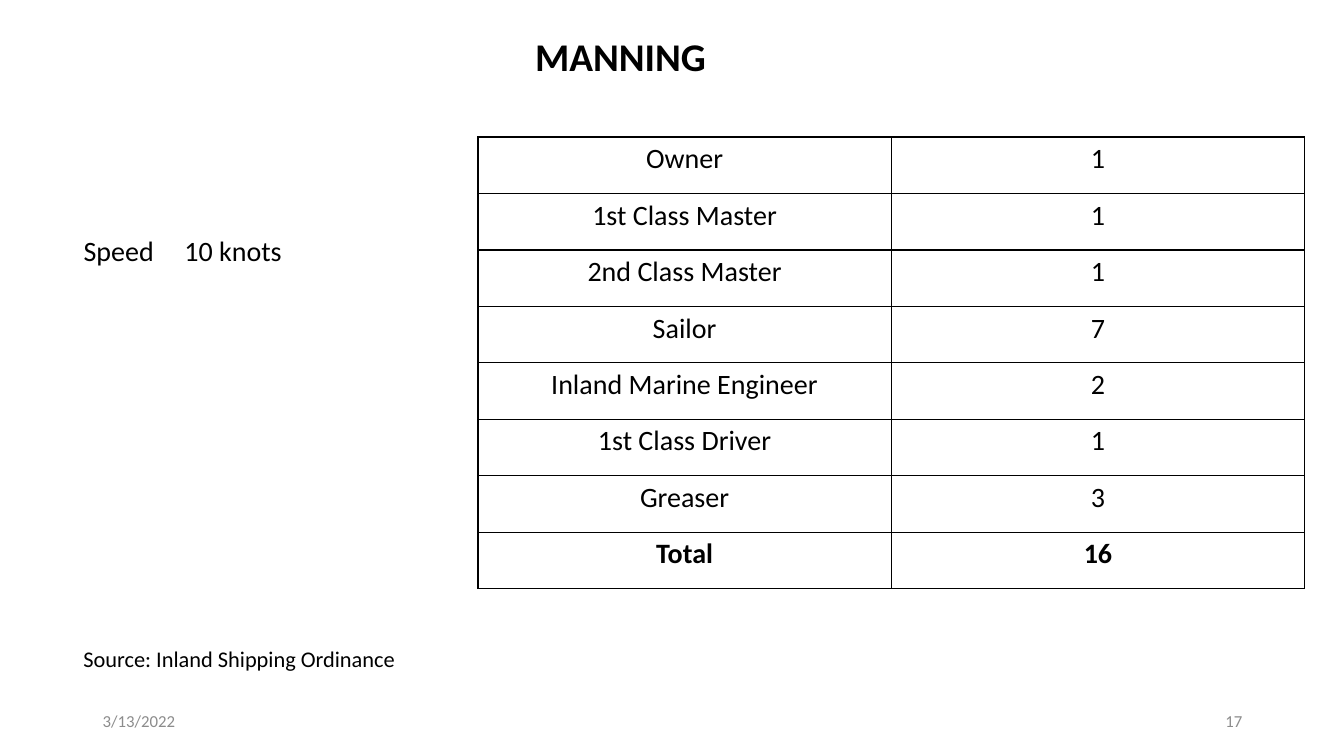
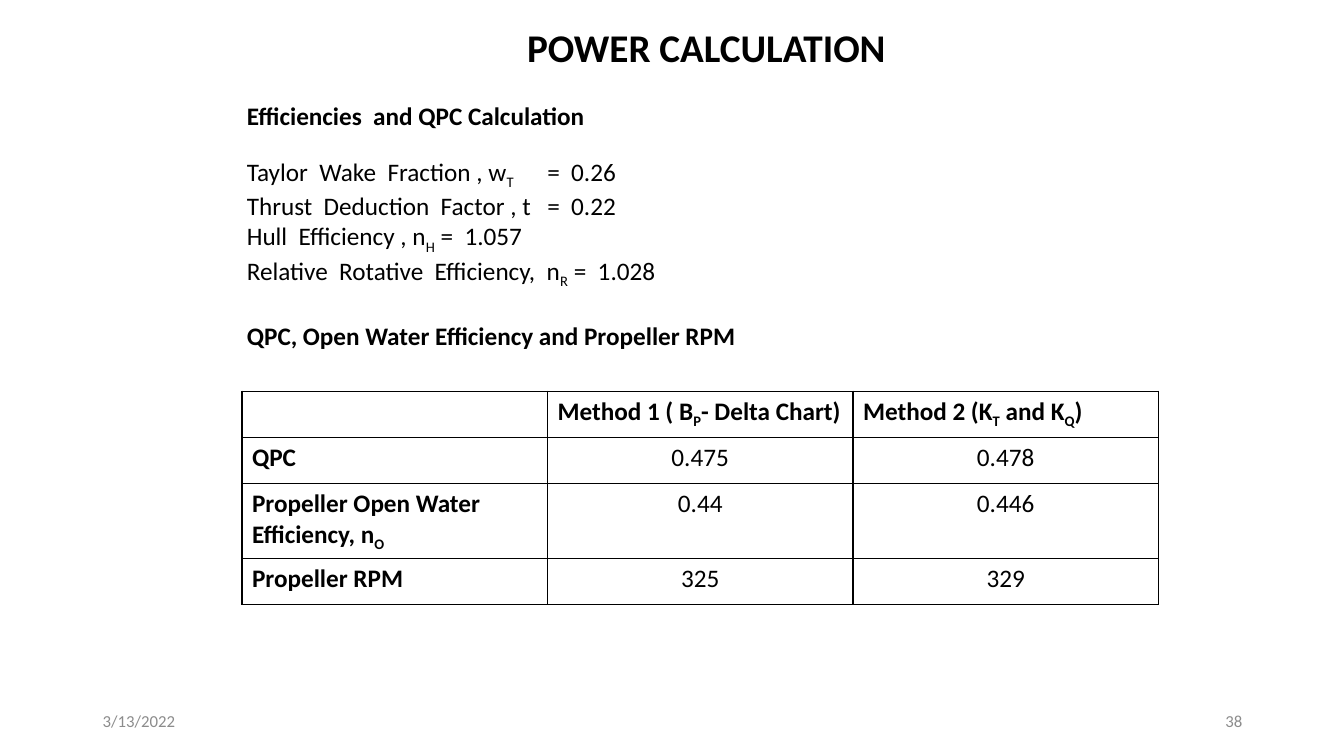
import pptx
import pptx.util
import pptx.dml.color
import pptx.enum.text
import pptx.oxml
import pptx.oxml.ns

PX = 9144  # 100 px to the inch
ALIGN = pptx.enum.text.PP_ALIGN
ANCHOR = pptx.enum.text.MSO_ANCHOR
NS = pptx.oxml.ns.nsdecls("a")


class Theme:
    font = "Calibri"
    ink = "000000"
    grey = "8C8C8C"
    title = 28
    large = 20
    body = 18
    source = 16
    foot = 12
    rule = 12700  # table border, one point


def write(para, text, size, bold=False, color=Theme.ink, align=ALIGN.LEFT):
    """Fill a paragraph; every second part between bars is a subscript."""
    para.alignment = align
    for i, part in enumerate(text.split("|")):
        if not part:
            continue
        run = para.add_run()
        run.text = part
        font = run.font
        font.name = Theme.font
        font.size = pptx.util.Pt(size)
        font.bold = bold
        font.color.rgb = pptx.dml.color.RGBColor.from_string(color)
        if i % 2:
            run._r.get_or_add_rPr().set("baseline", "-25000")


def box(slide, area, text, size, anchor=ANCHOR.TOP, **style):
    """Add a wrapping text box and return its frame."""
    frame = slide.shapes.add_textbox(*[n * PX for n in area]).text_frame
    frame.word_wrap = True
    frame.vertical_anchor = anchor
    write(frame.paragraphs[0], text, size, **style)
    return frame


# Content: title, page number and table of each slide
pages = [
    dict(title="MANNING", at=(521, 27, 773, 57), page="17",
         left=474, top=136, cols=[410] * 2, rows=[56] * 8,
         size=Theme.large, center=0, bold=lambda r, c: r == 7,
         cells=[("Owner", "1"), ("1st Class Master", "1"),
                ("2nd Class Master", "1"), ("Sailor", "7"),
                ("Inland Marine Engineer", "2"), ("1st Class Driver", "1"),
                ("Greaser", "3"), ("Total", "16")]),
    dict(title="POWER CALCULATION", at=(513, 18, 418, 57), page="38",
         left=240, top=388, cols=[303] * 3, rows=[46, 46, 74, 46],
         size=Theme.body, center=1, bold=lambda r, c: r == 0 or c == 0,
         cells=[("", "Method 1 ( B|P|- Delta Chart)",
                 "Method 2 (K|T| and K|Q|)"),
                ("QPC", "0.475", "0.478"),
                ("Propeller Open Water Efficiency, n|O|", "0.44", "0.446"),
                ("Propeller RPM", "325", "329")]),
]

deck = pptx.Presentation()
deck.slide_width = 1333 * PX
deck.slide_height = 750 * PX
blank = deck.slide_layouts[6]

# Shared parts: footer, title and table
for page in pages:
    slide = deck.slides.add_slide(blank)
    for left, text, side in [(92, "3/13/2022", ALIGN.LEFT),
                             (942, page["page"], ALIGN.RIGHT)]:
        box(slide, (left, 695, 300, 40), text, Theme.foot, ANCHOR.MIDDLE,
            color=Theme.grey, align=side)
    box(slide, page["at"], page["title"], Theme.title, bold=True)

    cols, rows = page["cols"], page["rows"]
    area = (page["left"], page["top"], sum(cols), sum(rows))
    table = slide.shapes.add_table(
        len(rows), len(cols), *[n * PX for n in area]).table
    table.first_row = table.horz_banding = False
    for col, width in zip(table.columns, cols):
        col.width = width * PX
    for row, height in zip(table.rows, rows):
        row.height = height * PX
    for r, line in enumerate(page["cells"]):
        for c, text in enumerate(line):
            cell = table.cell(r, c)
            bold = page["bold"](r, c)
            mid = not page["center"] or not bold
            write(cell.text_frame.paragraphs[0], text, page["size"], bold,
                  align=ALIGN.CENTER if mid else ALIGN.LEFT)
            props = cell._tc.get_or_add_tcPr()
            for side in "LRTB":
                props.append(pptx.oxml.parse_xml(
                    f'<a:ln{side} {NS} w="{Theme.rule}"><a:solidFill>'
                    f'<a:srgbClr val="{Theme.ink}"/></a:solidFill>'
                    f'</a:ln{side}>'))
            cell.fill.background()

# Manning: speed and source
crew, power = deck.slides
box(crew, (73, 227, 371, 45), "Speed\t10 knots", Theme.large)
box(crew, (73, 635, 1197, 37), "Source: Inland Shipping Ordinance",
    Theme.source)

# Power: heading, factors and table heading
box(power, (235, 95, 420, 40), "Efficiencies  and QPC Calculation",
    Theme.body, bold=True)
facts = ["Taylor  Wake  Fraction , w|T|\t=  0.26",
         "Thrust  Deduction  Factor , t\t=  0.22",
         "Hull  Efficiency , n|H| =  1.057",
         "Relative  Rotative  Efficiency,  n|R| =  1.028"]
frame = box(power, (235, 150, 560, 192), facts[0], Theme.body)
for fact in facts[1:]:
    write(frame.add_paragraph(), fact, Theme.body)
for para in frame.paragraphs[:2]:
    para._p.get_or_add_pPr().append(pptx.oxml.parse_xml(
        f'<a:tabLst {NS}><a:tab pos="{298 * PX}" algn="l"/></a:tabLst>'))
head = frame.add_paragraph()
head.space_before = pptx.util.Pt(22)
write(head, "QPC, Open Water Efficiency and Propeller RPM", Theme.body, True)

deck.save("out.pptx")
